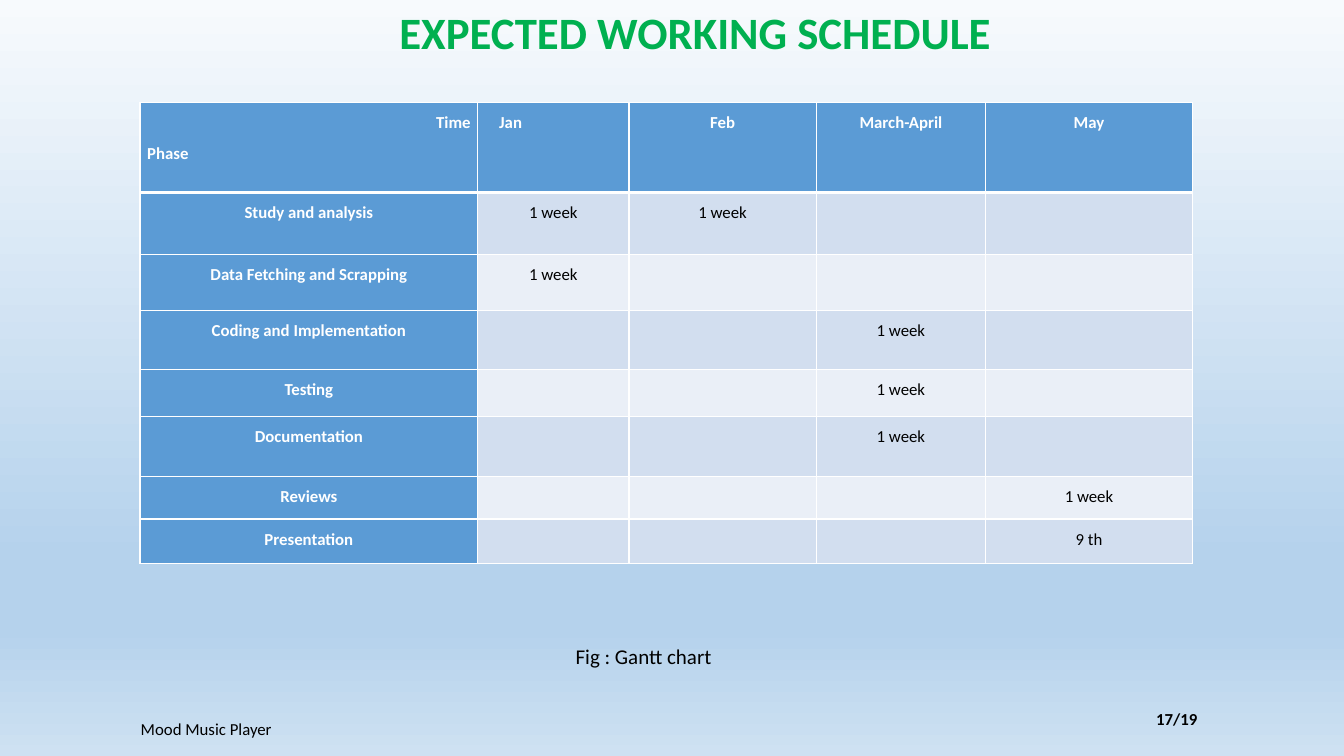
from lxml.etree import SubElement
from pptx import Presentation
from pptx.dml.color import RGBColor
from pptx.enum.text import MSO_ANCHOR, PP_ALIGN
from pptx.oxml.ns import qn
from pptx.util import Cm, Pt

COLORS = {
    "title": "00B050", "text": "000000", "white": "FFFFFF",
    "header": "5B9BD5", "odd": "D2DEEF", "even": "EAEFF7",
}
BACKGROUND = [(0, "F7FAFD"), (74, "B5D2EC"), (83, "B5D2EC"), (100, "CEE1F2")]


def set_font(p, size, color, bold=False):
    f = p.font
    f.name, f.size, f.bold = "Calibri", Pt(size), bold
    f.color.rgb = RGBColor.from_string(COLORS[color])


def add_border(tc_pr, side, width):
    ln = SubElement(tc_pr, qn(f"a:ln{side}"), w=str(Pt(width)))
    fill = SubElement(ln, qn("a:solidFill"))
    SubElement(fill, qn("a:srgbClr"), val=COLORS["white"])


prs = Presentation()
prs.slide_width, prs.slide_height = Cm(33.87), Cm(19.05)
s = prs.slides.add_slide(prs.slide_layouts[6])

# Background: four-stop gradient running downwards
fill = s.background.fill
fill.gradient()
fill.gradient_angle = 270
stops = s.background._cSld.find(".//" + qn("a:gsLst"))
stops.clear()
for pos, color in BACKGROUND:
    gs = SubElement(stops, qn("a:gs"), pos=str(pos * 1000))
    SubElement(gs, qn("a:srgbClr"), val=color)

# Title, caption and footer: text, box in cm, size, colour, bold, anchor, wrap
texts = [
    ("EXPECTED WORKING SCHEDULE", (8.23, 0, 18.59, 1.63), 32, "title", True, MSO_ANCHOR.TOP, True),
    ("Fig : Gantt chart", (14.2, 16.1, 4.04, 0.89), 15, "text", False, MSO_ANCHOR.TOP, False),
    ("Mood Music Player", (2.34, 17.86, 5.72, 1.02), 12, "text", False, MSO_ANCHOR.MIDDLE, True),
    ("17/19", (28.83, 17.6, 1.65, 1.02), 12, "text", True, MSO_ANCHOR.MIDDLE, True),
]
for text, box, size, color, bold, anchor, wrap in texts:
    tf = s.shapes.add_textbox(*map(Cm, box)).text_frame
    tf.word_wrap, tf.vertical_anchor = wrap, anchor
    p = tf.paragraphs[0]
    p.text, p.alignment = text, PP_ALIGN.CENTER
    set_font(p, size, color, bold)

# Schedule table
rows = [
    ["Time\nPhase", "Jan", "Feb", "March-April", "May"],
    ["Study and analysis", "1 week", "1 week", "", ""],
    ["Data Fetching and Scrapping", "1 week", "", "", ""],
    ["Coding and Implementation", "", "", "1 week", ""],
    ["Testing", "", "", "1 week", ""],
    ["Documentation", "", "", "1 week", ""],
    ["Reviews", "", "", "", "1 week"],
    ["Presentation", "", "", "", "9 th"],
]
col_widths = [8.51, 3.81, 4.72, 4.27, 5.21]
row_heights = [2.26, 1.57, 1.4, 1.5, 1.17, 1.52, 1.07, 1.12]
table = s.shapes.add_table(
    len(rows), len(col_widths), Cm(3.53), Cm(2.59),
    Cm(sum(col_widths)), Cm(sum(row_heights))).table
for column, width in zip(table.columns, col_widths):
    column.width = Cm(width)

for i, (row, height) in enumerate(zip(rows, row_heights)):
    table.rows[i].height = Cm(height)
    for j, text in enumerate(row):
        cell = table.cell(i, j)
        heading = i == 0 or j == 0
        cell.text = text
        cell.margin_left = cell.margin_right = Cm(0.18)
        cell.margin_top = cell.margin_bottom = 0
        for p in cell.text_frame.paragraphs:
            p.alignment, p.line_spacing = PP_ALIGN.CENTER, 1.5
            set_font(p, 12, "white" if heading else "text", heading)

        tc_pr = cell._tc.get_or_add_tcPr()
        for side in "LRTB":
            thick = (side == "B" and i == 0) or (side == "T" and i == 1)
            add_border(tc_pr, side, 3 if thick else 1)
        band = "odd" if i % 2 else "even"
        cell.fill.solid()
        cell.fill.fore_color.rgb = RGBColor.from_string(COLORS["header" if heading else band])

time, phase = table.cell(0, 0).text_frame.paragraphs
time.alignment, phase.alignment = PP_ALIGN.RIGHT, PP_ALIGN.LEFT
jan = table.cell(0, 1)
jan.margin_left = Cm(0.54)
jan.text_frame.paragraphs[0].alignment = PP_ALIGN.LEFT

prs.save("out.pptx")
